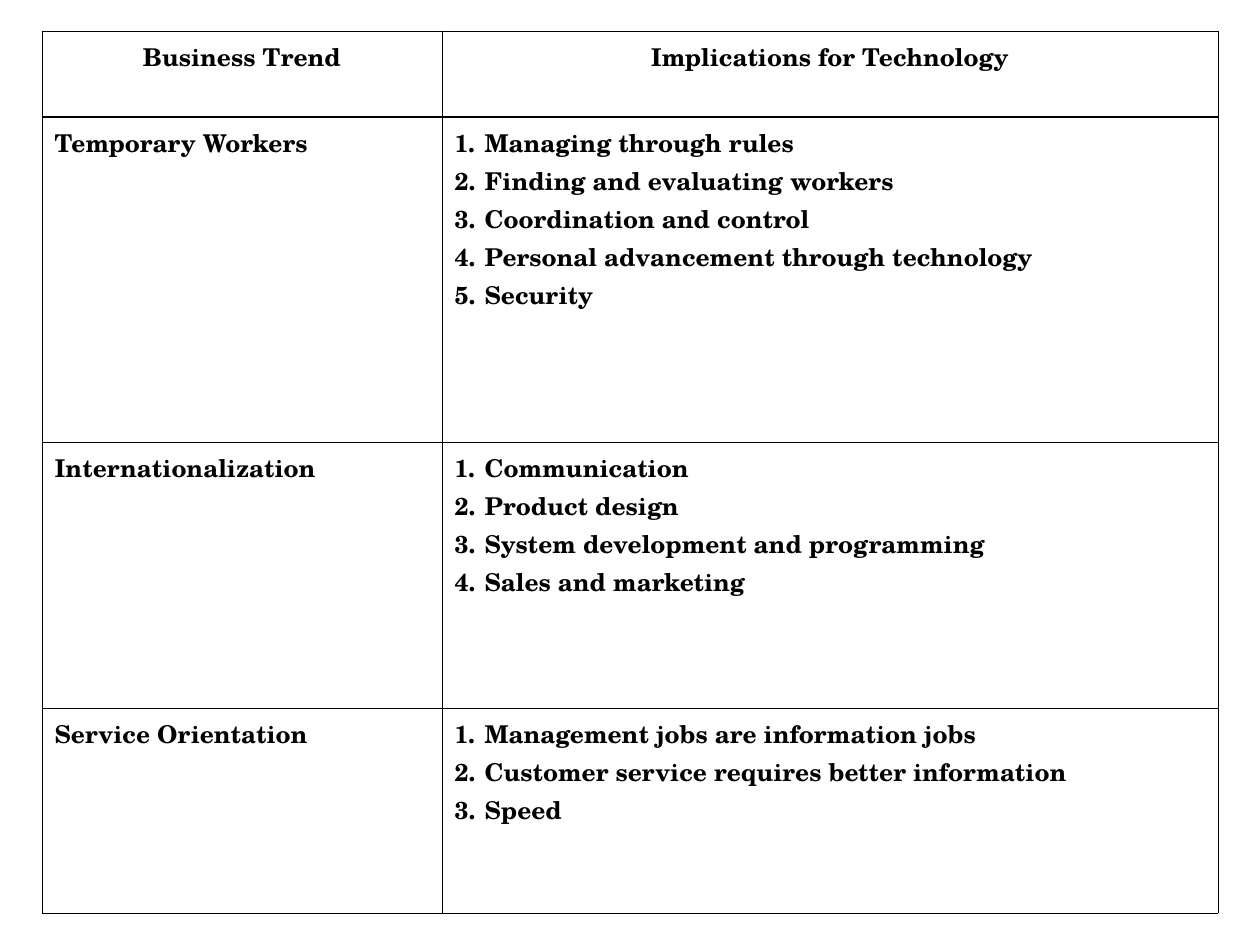
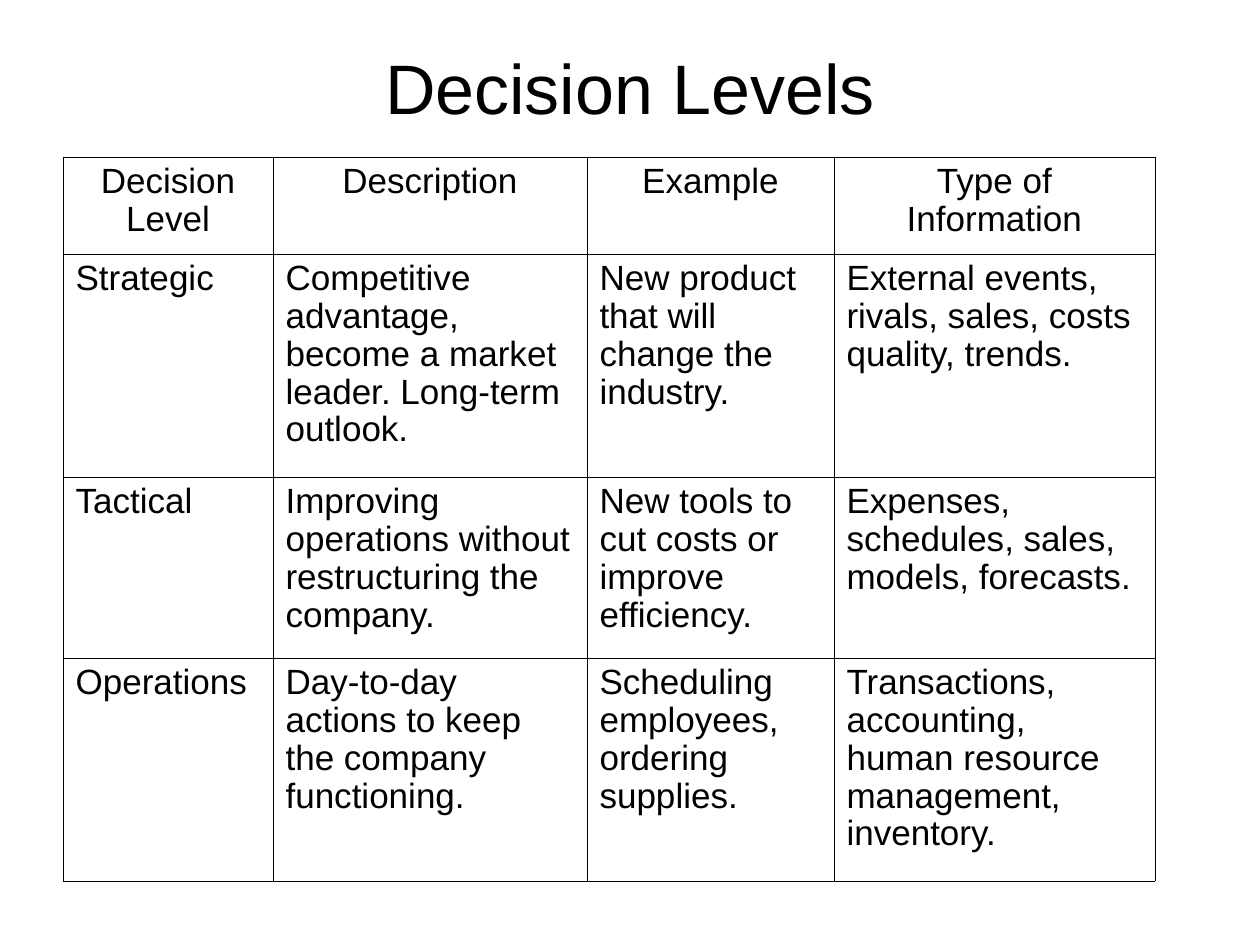
from dataclasses import dataclass

import lxml.etree
import pptx
import pptx.dml.color
import pptx.enum.text
import pptx.oxml.ns
import pptx.util

PX_PER_INCH = 126
BLACK, WHITE = "000000", "FFFFFF"
THIN, THICK = 0.45, 0.96
NUMBER_INDENT = 30
CENTER = pptx.enum.text.PP_ALIGN.CENTER
LEFT = pptx.enum.text.PP_ALIGN.LEFT


@dataclass(frozen=True)
class TextStyle:
    font: str
    size: int
    bold: bool = False
    line_spacing: float | pptx.util.Length = 1.0


@dataclass(frozen=True)
class Grid:
    """A table with a centred header row; numbered_column holds numbered lists."""
    left: int
    top: int
    columns: list[int]
    rows: list[int]
    cells: list[list[str]]
    style: TextStyle
    header_rule: float = THIN
    numbered_column: int | None = None


TITLE_STYLE = TextStyle("Arial", 40)

TRENDS = Grid(
    left=42, top=31, columns=[400, 776], rows=[86, 325, 266, 205],
    style=TextStyle("TeX Gyre Schola", 14, True, pptx.util.Pt(21.7)),
    header_rule=THICK, numbered_column=1,
    cells=[
        ["Business Trend", "Implications for Technology"],
        ["Temporary Workers",
         "Managing through rules\nFinding and evaluating workers\nCoordination and control\n"
         "Personal advancement through technology\nSecurity"],
        ["Internationalization",
         "Communication\nProduct design\nSystem development and programming\nSales and marketing"],
        ["Service Orientation",
         "Management jobs are information jobs\nCustomer service requires better information\nSpeed"],
    ])

DECISIONS = Grid(
    left=63, top=157, columns=[210, 314, 247, 321], rows=[97, 223, 181, 223],
    style=TextStyle("Arial", 20, line_spacing=0.97),
    cells=[
        ["Decision Level", "Description", "Example", "Type of Information"],
        ["Strategic", "Competitive advantage, become a market leader. Long-term outlook.",
         "New product that will change the industry.",
         "External events, rivals, sales, costs quality, trends."],
        ["Tactical", "Improving operations without restructuring the company.",
         "New tools to cut costs or improve efficiency.",
         "Expenses, schedules, sales, models, forecasts."],
        ["Operations", "Day-to-day actions to keep the company functioning.",
         "Scheduling employees, ordering supplies.",
         "Transactions, accounting, human resource management, inventory."],
    ])


def px(length: int) -> pptx.util.Emu:
    return pptx.util.Emu(round(length * 914400 / PX_PER_INCH))


def color(hex_value: str) -> pptx.dml.color.RGBColor:
    return pptx.dml.color.RGBColor.from_string(hex_value)


def add_element(parent, tag: str, **attributes: str):
    return lxml.etree.SubElement(parent, pptx.oxml.ns.qn(tag), attributes)


def write(text_frame, text: str, style: TextStyle, alignment) -> None:
    text_frame.text = text
    for paragraph in text_frame.paragraphs:
        paragraph.alignment = alignment
        paragraph.line_spacing = style.line_spacing
        for run in paragraph.runs:
            run.font.name = style.font
            run.font.size = pptx.util.Pt(style.size)
            run.font.bold = style.bold
            run.font.color.rgb = color(BLACK)


def number(paragraph) -> None:
    properties = paragraph._p.get_or_add_pPr()
    properties.set("marL", str(px(NUMBER_INDENT)))
    properties.set("indent", str(-px(NUMBER_INDENT)))
    add_element(add_element(properties, "a:buClr"), "a:srgbClr", val=BLACK)
    add_element(properties, "a:buAutoNum", type="arabicPeriod")


def draw_borders(cell, top: float, bottom: float) -> None:
    properties = cell._tc.get_or_add_tcPr()
    widths = {"a:lnL": THIN, "a:lnR": THIN, "a:lnT": top, "a:lnB": bottom}
    for tag, width in widths.items():
        line = add_element(properties, tag, w=str(pptx.util.Pt(width)))
        add_element(add_element(line, "a:solidFill"), "a:srgbClr", val=BLACK)


def add_grid(slide, grid: Grid) -> None:
    table = slide.shapes.add_table(
        len(grid.rows), len(grid.columns), px(grid.left), px(grid.top),
        px(sum(grid.columns)), px(sum(grid.rows))).table
    table.horz_banding = False
    for column, width in zip(table.columns, grid.columns):
        column.width = px(width)
    for row_index, (row, height) in enumerate(zip(table.rows, grid.rows)):
        row.height = px(height)
        is_header = row_index == 0
        for column_index, cell in enumerate(row.cells):
            draw_borders(cell,
                         top=grid.header_rule if row_index == 1 else THIN,
                         bottom=grid.header_rule if is_header else THIN)
            cell.fill.solid()
            cell.fill.fore_color.rgb = color(WHITE)
            write(cell.text_frame, grid.cells[row_index][column_index], grid.style,
                  CENTER if is_header else LEFT)
            if column_index == grid.numbered_column and not is_header:
                for paragraph in cell.text_frame.paragraphs:
                    number(paragraph)


def add_title(slide, text: str) -> None:
    text_frame = slide.shapes.add_textbox(px(63), px(38), px(1134), px(98)).text_frame
    text_frame.word_wrap = True
    text_frame.vertical_anchor = pptx.enum.text.MSO_ANCHOR.MIDDLE
    write(text_frame, text, TITLE_STYLE, CENTER)


def main() -> None:
    presentation = pptx.Presentation()
    presentation.slide_width, presentation.slide_height = px(1260), px(945)
    blank = presentation.slide_layouts[6]

    add_grid(presentation.slides.add_slide(blank), TRENDS)

    decision_slide = presentation.slides.add_slide(blank)
    add_title(decision_slide, "Decision Levels")
    add_grid(decision_slide, DECISIONS)

    presentation.save("out.pptx")


if __name__ == "__main__":
    main()
